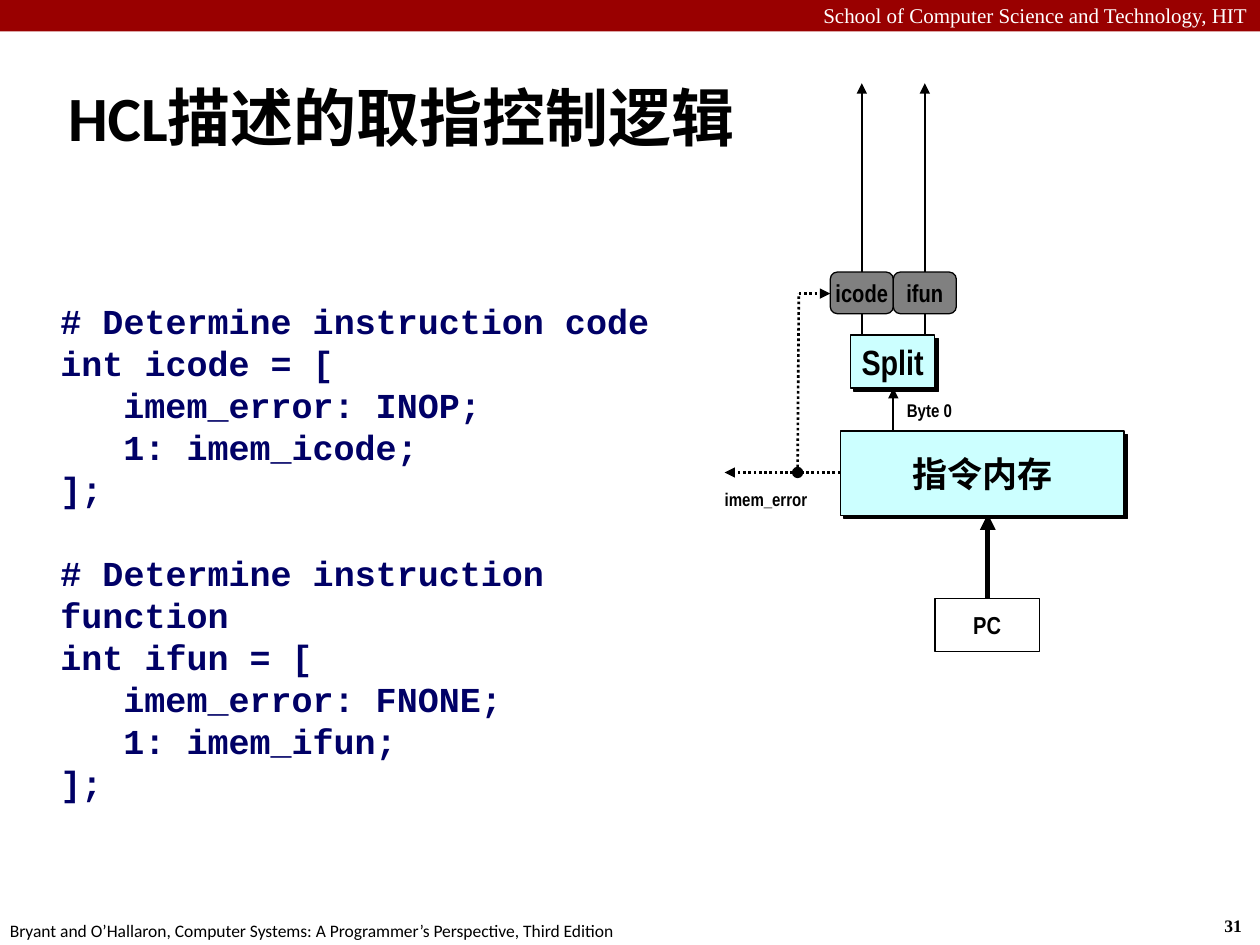
from dataclasses import dataclass
from typing import Optional

import pptx
import pptx.dml.color
import pptx.enum.dml
import pptx.enum.shapes
import pptx.enum.text
import pptx.oxml
import pptx.oxml.ns
import pptx.util

Inches = pptx.util.Inches
Pt = pptx.util.Pt
SHAPE = pptx.enum.shapes.MSO_SHAPE
ALIGN = pptx.enum.text.PP_ALIGN
ANCHOR = pptx.enum.text.MSO_ANCHOR

COLORS = {
    "black": "000000",
    "white": "FFFFFF",
    "banner": "990000",
    "code": "000066",
    "logic": "CCFFFF",
    "signal": "808080",
}
DIAGRAM_FONT = "Arial Narrow"
NS = 'xmlns:a="http://schemas.openxmlformats.org/drawingml/2006/main"'
SHADOW = (
    f'<a:outerShdw {NS} dist="35560" dir="2700000" algn="ctr" rotWithShape="0">'
    f'<a:srgbClr val="{COLORS["black"]}"/></a:outerShdw>'
)


@dataclass
class Node:
    box: tuple[float, float, float, float]
    kind: int
    label: str = ""
    size: float = 14
    fill: Optional[str] = None
    border: Optional[float] = 0.75
    shadow: bool = False


@dataclass
class Wire:
    start: tuple[float, float]
    end: tuple[float, float]
    width: float = 1
    dotted: bool = False
    arrow: bool = True


@dataclass
class Caption:
    box: tuple[float, float, float, float]
    text: str
    size: float
    font: str
    color: str = "black"
    bold: bool = False
    align: int = ALIGN.LEFT
    wrap: bool = False


WIRES = [
    Wire((7.84, 4.75), (7.84, 4.08), width=3),
    Wire((6.84, 2.66), (6.84, 0.66)),
    Wire((7.34, 2.66), (7.34, 0.66)),
    Wire((7.09, 3.42), (7.09, 3.08)),
    Wire((6.67, 3.75), (5.75, 3.75), width=1.5, dotted=True),
    Wire((6.33, 3.75), (6.34, 2.33), width=1.5, dotted=True, arrow=False),
    Wire((6.34, 2.33), (6.59, 2.33), width=1.5, dotted=True),
]
NODES = [
    Node((6.67, 3.42, 2.25, 0.67), SHAPE.RECTANGLE, "指令内存", 20, "logic", shadow=True),
    Node((7.42, 4.75, 0.83, 0.42), SHAPE.RECTANGLE, "PC", fill="white", border=1),
    Node((6.75, 2.66, 0.67, 0.42), SHAPE.RECTANGLE, "Split", 20, "logic", shadow=True),
    Node((5.58, 3.75, 1, 0.42), SHAPE.OVAL, "imem_error", 10.5, border=None),
    Node((6.59, 2.16, 0.5, 0.33), SHAPE.ROUNDED_RECTANGLE, "icode", fill="signal"),
    Node((7.09, 2.16, 0.5, 0.33), SHAPE.ROUNDED_RECTANGLE, "ifun", fill="signal"),
    Node((6.29, 3.71, 0.08, 0.08), SHAPE.OVAL, fill="black"),
]
BANNER = Node((0, 0, 10, 0.25), SHAPE.RECTANGLE, fill="banner", border=None)
CAPTIONS = [
    Caption((0, -0.03, 10, 0.3), "School of Computer Science and Technology, HIT", 12,
            "Times New Roman", "white", align=ALIGN.RIGHT, wrap=True),
    Caption((9.62, 7.21, 0.37, 0.27), "31", 10, "Times New Roman", bold=True),
    Caption((-0.02, 7.25, 5.08, 0.27),
            "Bryant and O’Hallaron, Computer Systems: A Programmer’s Perspective, Third Edition",
            10, "Calibri"),
    Caption((7.1, 3.12, 0.56, 0.28), "Byte 0", 10.5, DIAGRAM_FONT, bold=True),
]
CODE_BLOCKS = [
    ["# Determine instruction code", "int icode = [",
     "\timem_error: INOP;", "\t1: imem_icode;", "];"],
    ["# Determine instruction function", "int ifun = [",
     "\timem_error: FNONE;", "\t1: imem_ifun;", "];"],
]


def rgb(name: str) -> pptx.dml.color.RGBColor:
    return pptx.dml.color.RGBColor.from_string(COLORS[name])


def add_run(paragraph, text: str, size: float, font: str,
            color: str = "black", bold: bool = True) -> None:
    run = paragraph.add_run()
    run.text = text
    run.font.size = Pt(size)
    run.font.name = font
    run.font.bold = bold
    run.font.color.rgb = rgb(color)


def draw_node(slide, node: Node) -> None:
    shape = slide.shapes.add_shape(node.kind, *map(Inches, node.box))
    shape.shadow.inherit = False
    if node.fill:
        shape.fill.solid()
        shape.fill.fore_color.rgb = rgb(node.fill)
    else:
        shape.fill.background()
    if node.border:
        shape.line.color.rgb = rgb("black")
        shape.line.width = Pt(node.border)
    else:
        shape.line.fill.background()
    if node.shadow:
        effects = shape._element.spPr.find(pptx.oxml.ns.qn("a:effectLst"))
        effects.append(pptx.oxml.parse_xml(SHADOW))
    if node.label:
        frame = shape.text_frame
        frame.word_wrap = False
        frame.vertical_anchor = ANCHOR.MIDDLE
        frame.paragraphs[0].alignment = ALIGN.CENTER
        add_run(frame.paragraphs[0], node.label, node.size, DIAGRAM_FONT)


def draw_wire(slide, wire: Wire) -> None:
    connector = slide.shapes.add_connector(
        pptx.enum.shapes.MSO_CONNECTOR.STRAIGHT,
        *map(Inches, wire.start + wire.end))
    connector.line.color.rgb = rgb("black")
    connector.line.width = Pt(wire.width)
    if wire.dotted:
        # ROUND_DOT is the enum member written as sysDot
        connector.line.dash_style = pptx.enum.dml.MSO_LINE.ROUND_DOT
    properties = connector._element.spPr
    if wire.arrow:
        line = properties.find(pptx.oxml.ns.qn("a:ln"))
        line.append(pptx.oxml.parse_xml(f'<a:tailEnd {NS} type="triangle"/>'))
    properties.append(pptx.oxml.parse_xml(f"<a:effectLst {NS}/>"))


def draw_caption(slide, caption: Caption) -> None:
    frame = slide.shapes.add_textbox(*map(Inches, caption.box)).text_frame
    frame.word_wrap = caption.wrap
    frame.paragraphs[0].alignment = caption.align
    add_run(frame.paragraphs[0], caption.text, caption.size,
            caption.font, caption.color, caption.bold)


def draw_title(slide, text: str) -> None:
    title = slide.shapes.title
    title.left, title.top, title.width, title.height = map(Inches, (0.44, 0.27, 5.81, 1.31))
    frame = title.text_frame
    frame.auto_size = pptx.enum.text.MSO_AUTO_SIZE.NONE
    frame.vertical_anchor = ANCHOR.MIDDLE
    frame.paragraphs[0].alignment = ALIGN.LEFT
    add_run(frame.paragraphs[0], text, 36, "Calibri")


def draw_code(slide, blocks: list[list[str]]) -> None:
    frame = slide.shapes.add_textbox(*map(Inches, (0.43, 2.33, 5.22, 4.14))).text_frame
    frame.word_wrap = True
    frame.margin_left = frame.margin_right = Inches(0.05)
    line_height = Pt(24)
    for block_index, block in enumerate(blocks):
        for line_index, code_line in enumerate(block):
            first = block_index == line_index == 0
            paragraph = frame.paragraphs[0] if first else frame.add_paragraph()
            paragraph.line_spacing = line_height
            if block_index and line_index == 0:
                paragraph.space_before = line_height
            add_run(paragraph, code_line, 20, "Courier New", "code")


def main() -> None:
    deck = pptx.Presentation()
    deck.slide_width, deck.slide_height = Inches(10), Inches(7.5)
    slide = deck.slides.add_slide(deck.slide_layouts[5])

    # Heading and code
    draw_node(slide, BANNER)
    draw_title(slide, "HCL描述的取指控制逻辑")
    draw_code(slide, CODE_BLOCKS)

    # Fetch diagram: wires run behind the nodes
    for wire in WIRES:
        draw_wire(slide, wire)
    for node in NODES:
        draw_node(slide, node)

    # Banner, footer and diagram captions
    for caption in CAPTIONS:
        draw_caption(slide, caption)
    deck.save("out.pptx")


if __name__ == "__main__":
    main()
